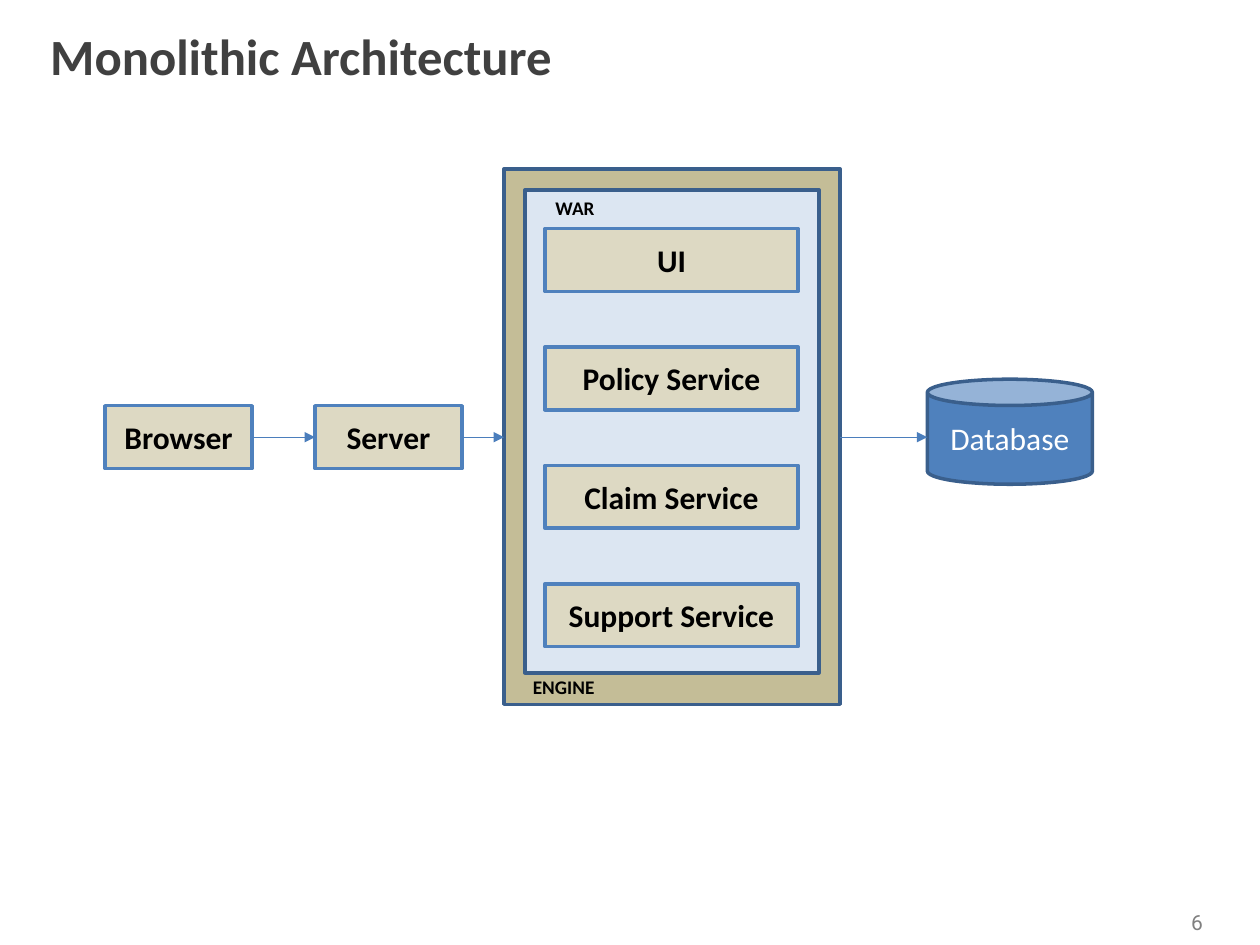
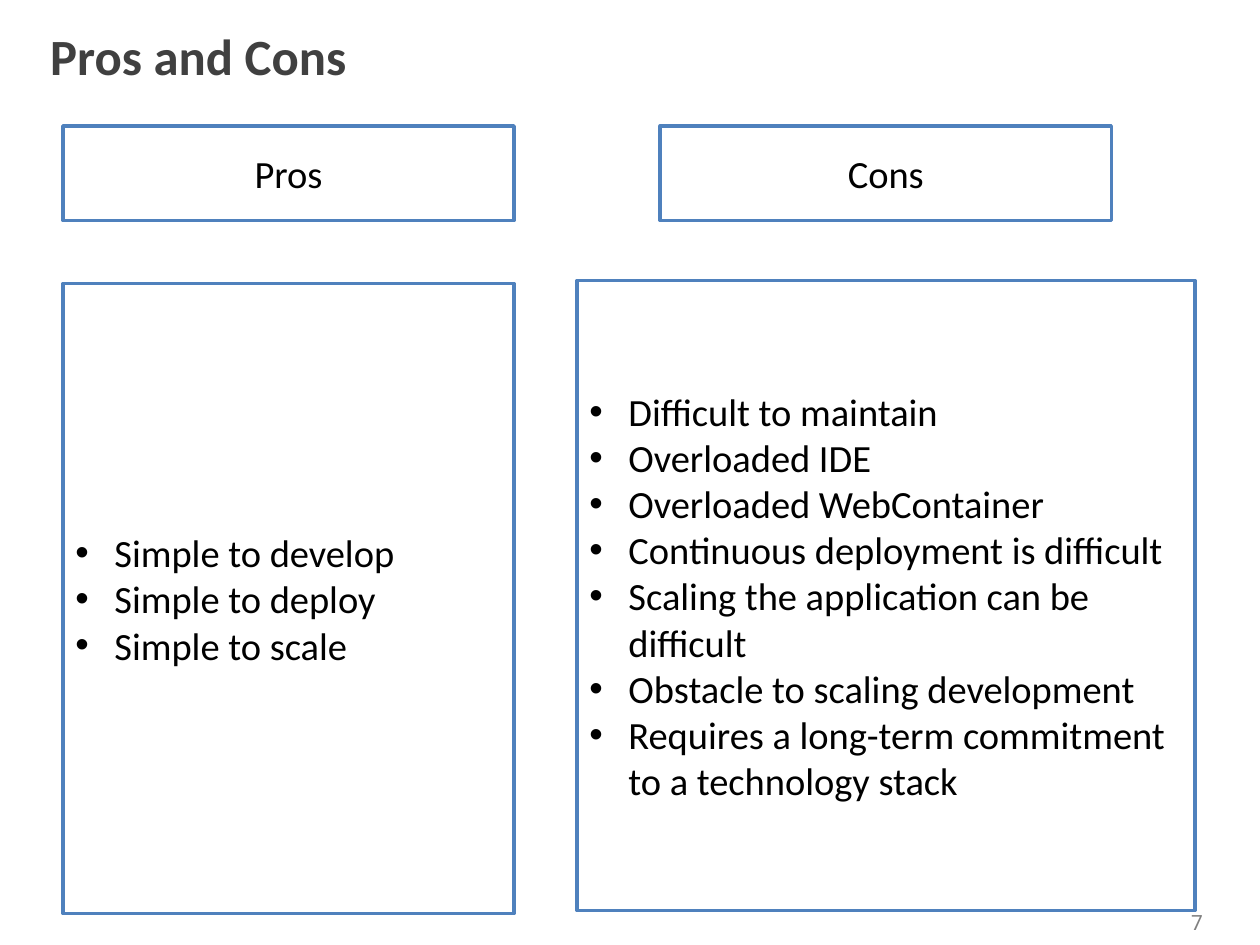
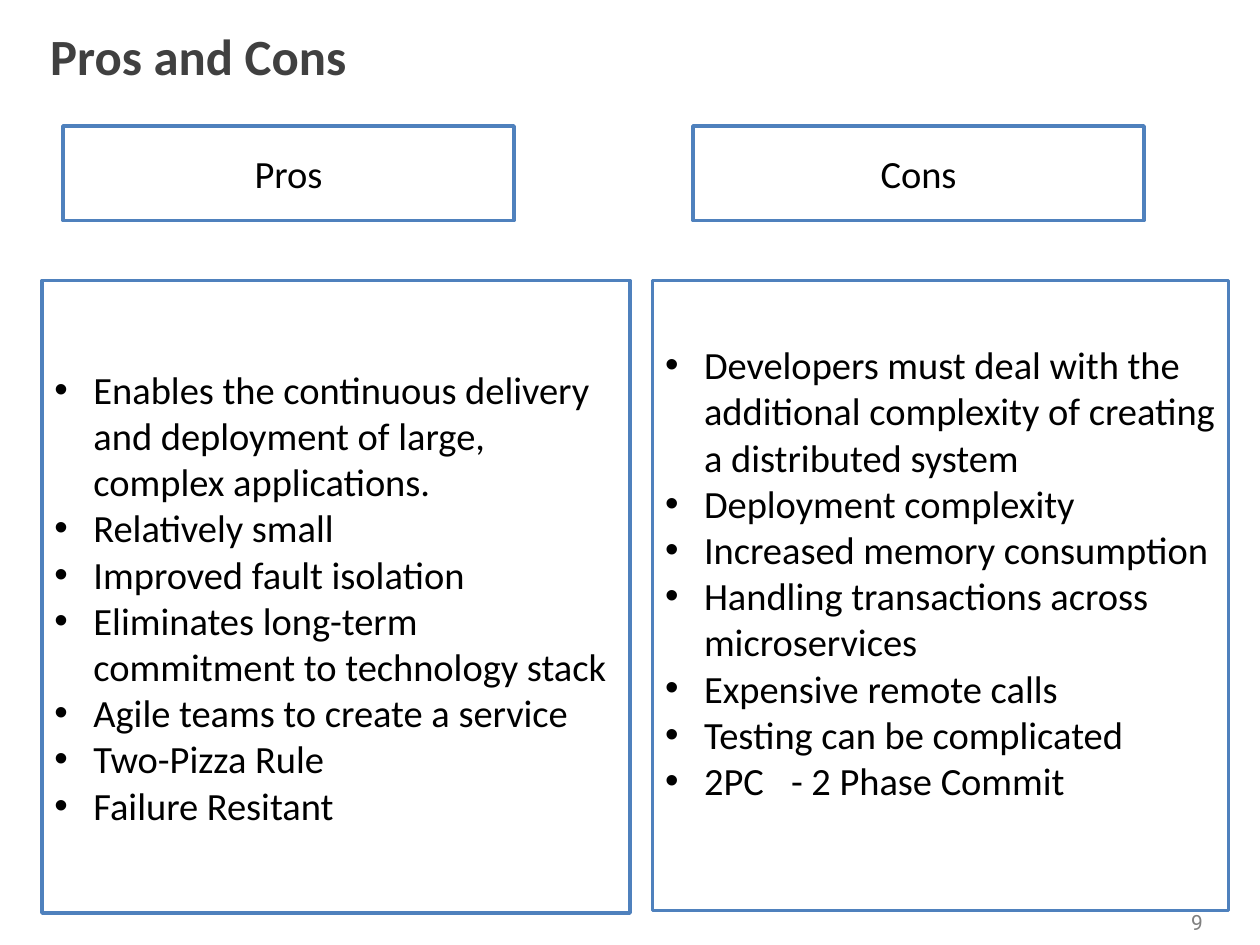
import dataclasses

import lxml.etree
import pptx
import pptx.dml.color
import pptx.enum.shapes
import pptx.enum.text
import pptx.oxml.ns
import pptx.util


@dataclasses.dataclass(frozen=True)
class Theme:
    font: str = "Calibri"
    number_font: str = "Roboto"
    title_size: int = 29
    list_size: int = 22
    node_size: int = 18
    number_size: int = 12
    tag_size: int = 11
    border_width: float = 2
    arrow_width: float = 0.75
    title: str = "404040"
    number: str = "808080"
    black: str = "000000"
    white: str = "FFFFFF"
    blue: str = "4F81BD"
    navy: str = "3A5F8C"
    arrow: str = "4B7EBC"
    pale_blue: str = "DCE6F2"
    sand: str = "DDD9C3"
    dark_sand: str = "C4BD97"


theme = Theme()
color = pptx.dml.color.RGBColor.from_string
qn = pptx.oxml.ns.qn
preset = pptx.enum.shapes.MSO_SHAPE
left_align = pptx.enum.text.PP_ALIGN.LEFT
center_align = pptx.enum.text.PP_ALIGN.CENTER
middle = pptx.enum.text.MSO_ANCHOR.MIDDLE

deck = pptx.Presentation()
deck.slide_width = pptx.util.Inches(10)
deck.slide_height = pptx.util.Inches(7.5)
column = deck.slide_width / 60
row = deck.slide_height / 45


def write(box, lines, size, ink=theme.black, bold=False, align=center_align, font=theme.font, bullets=False):
    frame = box.text_frame
    frame.word_wrap = True
    for index, line in enumerate(lines):
        para = frame.add_paragraph() if index else frame.paragraphs[0]
        para.text = line
        para.alignment = align
        para.font.name = font
        para.font.size = pptx.util.Pt(size)
        para.font.bold = bold
        para.font.color.rgb = color(ink)
        if bullets:
            properties = para._p.get_or_add_pPr()
            properties.set("marL", str(pptx.util.Inches(0.31)))
            properties.set("indent", str(-pptx.util.Inches(0.31)))
            mark_font = lxml.etree.Element(qn("a:buFont"), typeface="Arial")
            mark = lxml.etree.Element(qn("a:buChar"), char="•")
            properties.insert_element_before(mark_font, "a:tabLst", "a:defRPr")
            properties.insert_element_before(mark, "a:tabLst", "a:defRPr")


def add_box(page, area, fill=None, border=theme.blue, kind=preset.RECTANGLE):
    left, top, width, height = area
    place = [int(length) for length in (left * column, top * row, width * column, height * row)]
    if fill is None:
        return page.shapes.add_textbox(*place)
    box = page.shapes.add_shape(kind, *place)
    box.shadow.inherit = False
    box.fill.solid()
    box.fill.fore_color.rgb = color(fill)
    box.line.color.rgb = color(border)
    box.line.width = pptx.util.Pt(theme.border_width)
    box.text_frame.vertical_anchor = middle
    return box


pages = []
for number, heading in (("6", "Monolithic Architecture"), ("7", "Pros and Cons"), ("9", "Pros and Cons")):
    page = deck.slides.add_slide(deck.slide_layouts[6])
    write(add_box(page, (55.5, 43, 3, 1.8)), [number], theme.number_size, theme.number, font=theme.number_font)
    title = add_box(page, (1.8, 0.72, 55.2, 3.78))
    title.text_frame.vertical_anchor = middle
    write(title, [heading], theme.title_size, theme.title, bold=True, align=left_align)
    pages.append(page)

architecture, monolith, microservices = pages

add_box(architecture, (24, 8.04, 16, 25.5), theme.dark_sand, theme.navy)
add_box(architecture, (25, 9.04, 14, 23), theme.pale_blue, theme.navy)

nodes = [("Browser", (5, 19.32, 7, 3)), ("Server", (15, 19.32, 7, 3))]
for index, service in enumerate(("UI", "Policy Service", "Claim Service", "Support Service")):
    nodes.append((service, (25.95, 10.88 + 5.64 * index, 12.05, 3)))
for label, area in nodes:
    write(add_box(architecture, area, theme.sand), [label], theme.node_size, bold=True)

for tag, left, top in (("WAR", 25.86, 9.06), ("ENGINE", 24.78, 31.86)):
    write(add_box(architecture, (left, top, 5.46, 1.74)), [tag], theme.tag_size, bold=True, align=left_align)

database = add_box(architecture, (44.16, 18.06, 7.86, 5), theme.blue, theme.navy, preset.CAN)
write(database, ["Database"], theme.node_size, theme.white)

flow = int(20.82 * row)
for start, end in ((12, 15), (22, 24), (40, 44.16)):
    arrow = architecture.shapes.add_connector(
        pptx.enum.shapes.MSO_CONNECTOR.STRAIGHT, int(start * column), flow, int(end * column), flow
    )
    arrow.line.color.rgb = color(theme.arrow)
    arrow.line.width = pptx.util.Pt(theme.arrow_width)
    lxml.etree.SubElement(arrow.line._get_or_add_ln(), qn("a:tailEnd"), type="triangle")
    lxml.etree.SubElement(arrow._element.spPr, qn("a:effectLst"))

comparisons = [
    (monolith, "Pros", 3, (3, 13.5, 21.48, 30), [
        "Simple to develop",
        "Simple to deploy",
        "Simple to scale",
    ]),
    (monolith, "Cons", 31.44, (27.48, 13.36, 29.42, 30), [
        "Difficult to maintain",
        "Overloaded IDE",
        "Overloaded WebContainer",
        "Continuous deployment is difficult",
        "Scaling the application can be difficult",
        "Obstacle to scaling development",
        "Requires a long-term commitment to a technology stack",
    ]),
    (microservices, "Pros", 3, (2, 13.36, 28, 30.12), [
        "Enables the continuous delivery and deployment of large, complex applications.",
        "Relatively small",
        "Improved fault isolation",
        "Eliminates long-term commitment to technology stack",
        "Agile teams to create a service",
        "Two-Pizza Rule",
        "Failure Resitant",
    ]),
    (microservices, "Cons", 33, (31.08, 13.36, 27.42, 30), [
        "Developers must deal with the additional complexity of creating a distributed system",
        "Deployment complexity",
        "Increased memory consumption",
        "Handling transactions across microservices",
        "Expensive remote calls",
        "Testing can be complicated",
        "2PC\t- 2 Phase Commit",
    ]),
]
for page, side, header_left, area, points in comparisons:
    write(add_box(page, (header_left, 6, 21.48, 4.5), theme.white), [side], theme.list_size)
    panel = add_box(page, area, theme.white)
    write(panel, points, theme.list_size, align=left_align, bullets=True)
panel.text_frame.margin_bottom = pptx.util.Inches(0.42)

deck.save("out.pptx")
